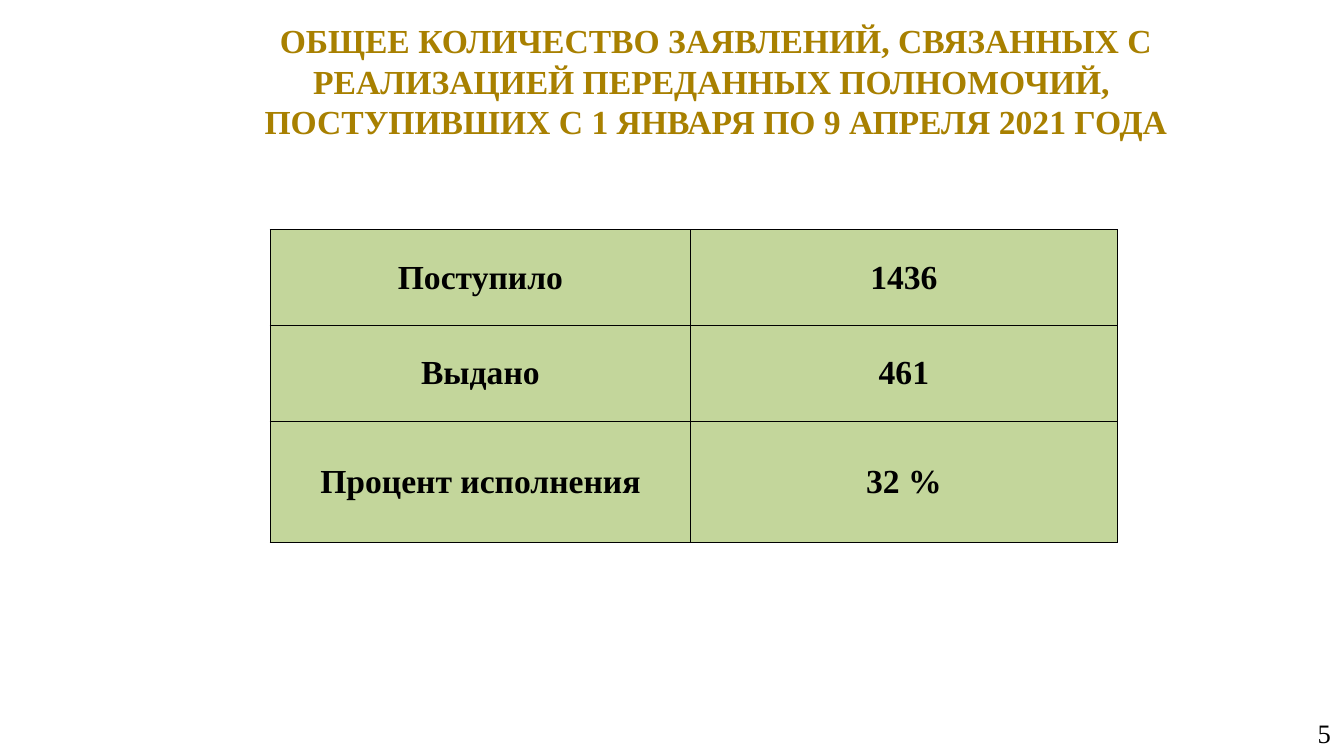
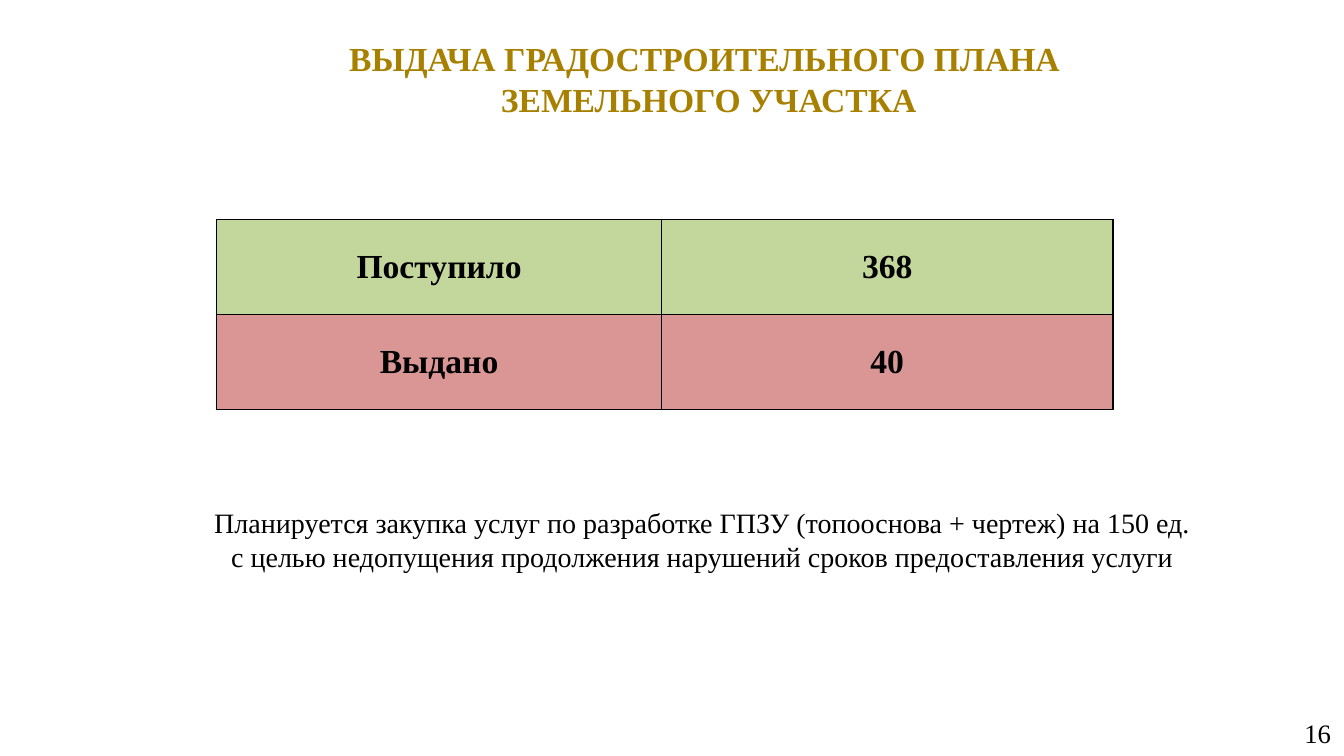
from pptx import Presentation
from pptx.dml.color import RGBColor as RGB
from pptx.enum.text import MSO_ANCHOR as Anchor, PP_ALIGN as Align
from pptx.oxml.ns import qn
from pptx.util import Inches, Pt
from lxml.etree import SubElement

# Content: box is left, top, width, height in inches
GOOD, BAD = "good", "bad"
SLIDES = [
    dict(
        title="ОБЩЕЕ КОЛИЧЕСТВО ЗАЯВЛЕНИЙ, СВЯЗАННЫХ С РЕАЛИЗАЦИЕЙ ПЕРЕДАННЫХ ПОЛНОМОЧИЙ, \v"
              "ПОСТУПИВШИХ С 1 ЯНВАРЯ ПО 9 АПРЕЛЯ 2021 ГОДА",
        title_at=(1.38, 0.3), number="5",
        table_at=(2.68, 2.28), columns=(4.17, 4.23),
        rows=[("Поступило", "1436", GOOD, 0.95),
              ("Выдано", "461", GOOD, 0.95),
              ("Процент исполнения", "32 %", GOOD, 1.2)],
        note=[],
    ),
    dict(
        title="ВЫДАЧА ГРАДОСТРОИТЕЛЬНОГО ПЛАНА \vЗЕМЕЛЬНОГО УЧАСТКА",
        title_at=(1.31, 0.28), number="16",
        table_at=(2.15, 2.18), columns=(4.41, 4.48),
        rows=[("Поступило", "368", GOOD, 0.94),
              ("Выдано", "40", BAD, 0.94)],
        # Each line of the note with its first-line indent
        note=[("Планируется закупка услуг по разработке ГПЗУ (топооснова + чертеж) на 150 ед.", -0.08),
              ("с целью недопущения продолжения нарушений сроков предоставления услуги", -0.22)],
    ),
]

# Theme
THEME = dict(
    font="Times New Roman",
    fills={GOOD: "C3D69B", BAD: "D99694"},
    border="000000",
    styles=dict(
        title=dict(size=24, color="A88000", bold=True, align=Align.CENTER),
        cell=dict(size=24, color="000000", bold=True, align=Align.CENTER),
        note=dict(size=20, color="000000", bold=False, align=Align.CENTER),
        number=dict(size=19, color="000000", bold=False, align=Align.RIGHT),
    ),
)
SLIDE_SIZE = (13.33, 7.5)
TITLE_SIZE = (11.44, 1)
NUMBER_BOX = (10.22, 7.07, 3.11, 0.4)
NOTE_BOX = (1.01, 4.97, 11.91, 0.76)
MARGINS = dict(margin_left=0.13, margin_right=0.13, margin_top=0.07, margin_bottom=0.07)


def set_margins(holder):
    for side, inches in MARGINS.items():
        setattr(holder, side, Inches(inches))


def style_paragraph(paragraph, style_name):
    style = THEME["styles"][style_name]
    paragraph.alignment = style["align"]
    for run in paragraph.runs:
        for key, value in dict(name=THEME["font"], size=Pt(style["size"]), bold=style["bold"]).items():
            setattr(run.font, key, value)
        run.font.color.rgb = RGB.from_string(style["color"])


def add_text(slide, box, lines, style_name):
    frame = slide.shapes.add_textbox(*map(Inches, box)).text_frame
    frame.word_wrap = True
    frame.vertical_anchor = Anchor.MIDDLE
    set_margins(frame)
    frame.text = "\n".join(text for text, _ in lines)
    for paragraph, (_, indent) in zip(frame.paragraphs, lines):
        if indent:
            properties = paragraph._p.get_or_add_pPr()
            properties.set("marL", "0")
            properties.set("indent", str(Inches(indent)))
        style_paragraph(paragraph, style_name)


def outline_cell(cell):
    properties = cell._tc.get_or_add_tcPr()
    for edge in ("a:lnL", "a:lnR", "a:lnT", "a:lnB"):
        line = SubElement(properties, qn(edge), w=str(Pt(1)))
        fill = SubElement(line, qn("a:solidFill"))
        SubElement(fill, qn("a:srgbClr"), val=THEME["border"])


def add_results(slide, origin, columns, rows):
    heights = [row[-1] for row in rows]
    box = (*origin, sum(columns), sum(heights))
    table = slide.shapes.add_table(len(rows), len(columns), *map(Inches, box)).table
    table.first_row = table.horz_banding = False
    for column, width in zip(table.columns, columns):
        column.width = Inches(width)
    for table_row, (label, value, status, height) in zip(table.rows, rows):
        table_row.height = Inches(height)
        for cell, text in zip(table_row.cells, (label, value)):
            cell.text = text
            cell.vertical_anchor = Anchor.MIDDLE
            set_margins(cell)
            style_paragraph(cell.text_frame.paragraphs[0], "cell")
            outline_cell(cell)  # borders come before the fill in the cell's XML
            cell.fill.solid()
            cell.fill.fore_color.rgb = RGB.from_string(THEME["fills"][status])


def main():
    deck = Presentation()
    deck.slide_width, deck.slide_height = map(Inches, SLIDE_SIZE)
    for content in SLIDES:
        slide = deck.slides.add_slide(deck.slide_layouts[6])
        # Title and page number
        add_text(slide, content["title_at"] + TITLE_SIZE, [(content["title"], 0)], "title")
        add_text(slide, NUMBER_BOX, [(content["number"], 0)], "number")
        # Results table and the note below it
        add_results(slide, content["table_at"], content["columns"], content["rows"])
        if content["note"]:
            add_text(slide, NOTE_BOX, content["note"], "note")
    deck.save("out.pptx")


if __name__ == "__main__":
    main()
